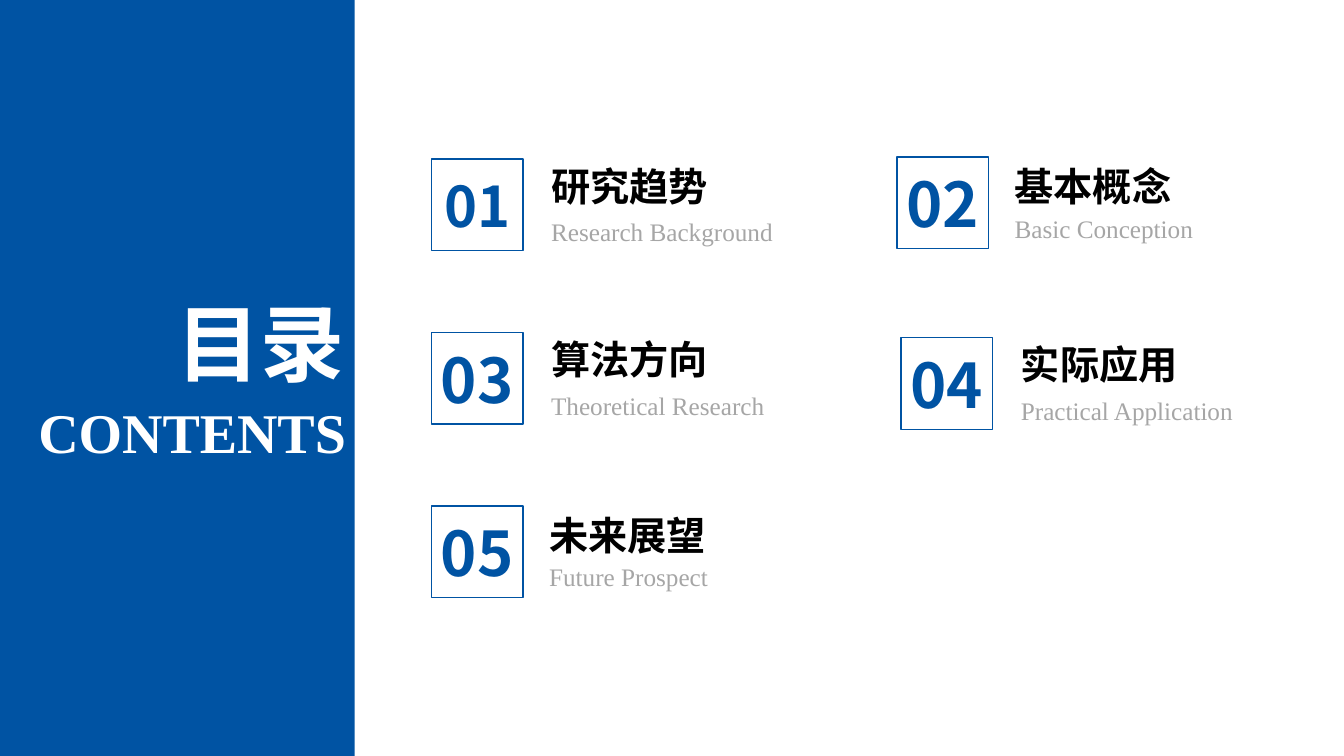
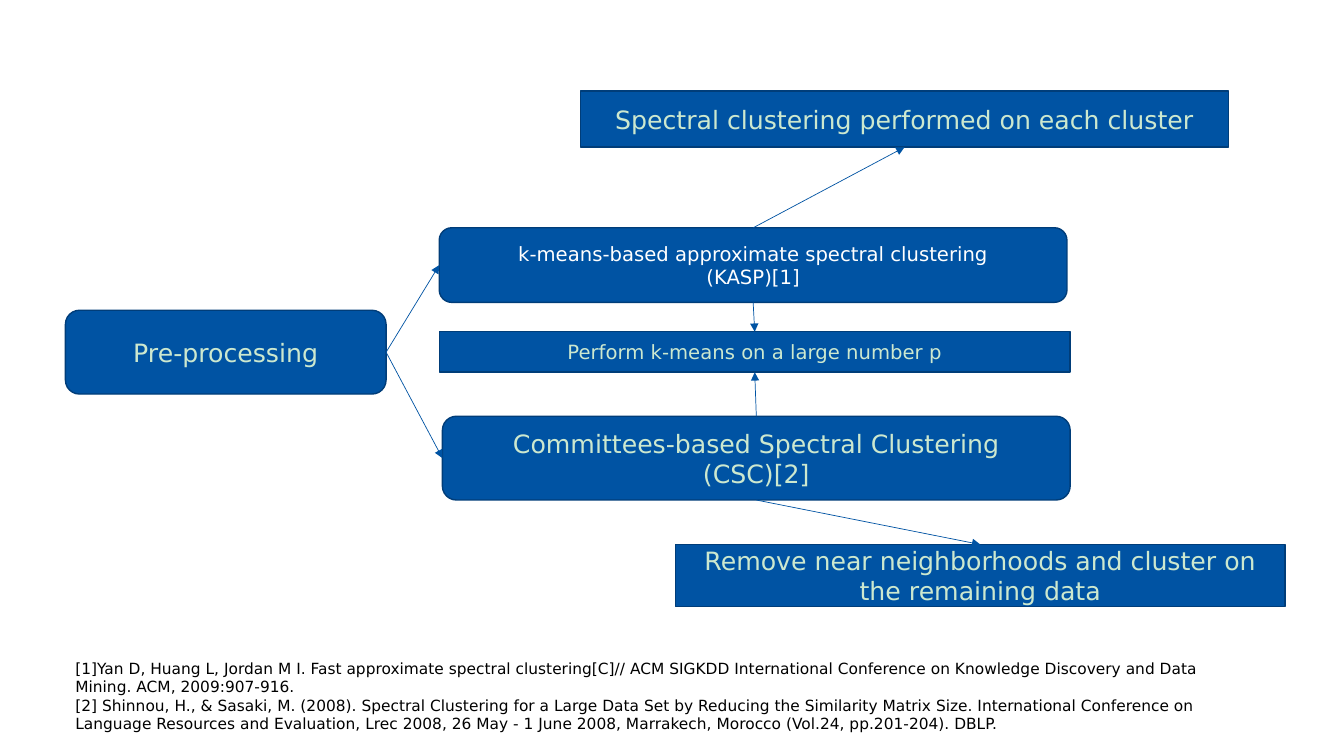
import pptx
import pptx.util
import pptx.dml.color
import pptx.enum.shapes
import pptx.enum.text
import pptx.oxml.ns
from lxml import etree

Cm, Pt = pptx.util.Cm, pptx.util.Pt
RGB = pptx.dml.color.RGBColor.from_string
SHAPE = pptx.enum.shapes.MSO_SHAPE
ALIGN = pptx.enum.text.PP_ALIGN
MIDDLE = pptx.enum.text.MSO_ANCHOR.MIDDLE
TOP = pptx.enum.text.MSO_ANCHOR.TOP
qn = pptx.oxml.ns.qn

# Theme: colours, fonts and type sizes
BLUE, EDGE, MINT = RGB("0053A3"), RGB("003D79"), RGB("CCE8CF")
WHITE, BLACK, GREY = RGB("FFFFFF"), RGB("000000"), RGB("A6A6A6")
HAN, SERIF, SANS = "Noto Sans CJK SC", "Times New Roman", "DejaVu Sans"
THEME = {
    "heading": dict(name=HAN, size=Pt(60), bold=True, color=WHITE),
    "subheading": dict(name=SERIF, size=Pt(40), bold=True, color=WHITE),
    "topic": dict(name=HAN, size=Pt(28), bold=True, color=BLACK),
    "translation": dict(name=SERIF, size=Pt(18), color=GREY),
    "first number": dict(name=HAN, size=Pt(40), bold=True, color=BLUE),
    "number": dict(name=HAN, size=Pt(44), bold=True, color=BLUE),
    "step": dict(name=SANS, size=Pt(18), color=MINT),
    "small step": dict(name=SANS, size=Pt(14), color=MINT),
    "key step": dict(name=SANS, size=Pt(14), color=WHITE),
    "reference": dict(name=SANS, size=Pt(11), color=BLACK),
}


def write(box, text, style, align=ALIGN.LEFT, anchor=TOP):
    frame = box.text_frame
    frame.word_wrap = True
    frame.vertical_anchor = anchor
    for index, line in enumerate(text.split("\n")):
        paragraph = frame.paragraphs[0] if index == 0 else frame.add_paragraph()
        paragraph.alignment = align
        run = paragraph.add_run()
        run.text = line
        for attribute, value in THEME[style].items():
            if attribute == "color":
                run.font.color.rgb = value
            else:
                setattr(run.font, attribute, value)
        east_asian = etree.SubElement(run.font._element, qn("a:ea"))
        east_asian.set("typeface", run.font.name)


def add_block(slide, kind, place, fill=None, edge=None):
    block = slide.shapes.add_shape(kind, *map(Cm, place))
    block.shadow.inherit = False
    for part, color in ((block.fill, fill), (block.line.fill, edge)):
        if color is None:
            part.background()
        else:
            part.solid()
            part.fore_color.rgb = color
    if edge is not None:
        block.line.width = Pt(1)
    return block


deck = pptx.Presentation()
deck.slide_width, deck.slide_height = Cm(33.87), Cm(19.05)
blank = deck.slide_layouts[6]

# Contents slide: side panel
contents = deck.slides.add_slide(blank)
add_block(contents, SHAPE.RECTANGLE, (0, 0, 8.94, 19.05), BLUE)
for text, style, place in (
    ("目录", "heading", (2.49, 7.21, 6.45, 2.82)),
    ("CONTENTS", "subheading", (0, 9.88, 8.97, 1.96)),
):
    write(contents.shapes.add_textbox(*map(Cm, place)), text, style, ALIGN.RIGHT)

# Contents slide: square left and top, text left, topic top, translation top
topics = [
    ("研究趋势", "Research Background", 10.87, 4.01, 13.64, 3.96, 5.33),
    ("基本概念", "Basic Conception", 22.61, 3.96, 25.32, 3.96, 5.26),
    ("算法方向", "Theoretical Research", 10.87, 8.38, 13.64, 8.33, 9.7),
    ("实际应用", "Practical Application", 22.71, 8.51, 25.48, 8.46, 9.83),
    ("未来展望", "Future Prospect", 10.87, 12.75, 13.59, 12.75, 14.02),
]
SIDE = 2.31
for order, (topic, translation, left, top, text_left, topic_top, translation_top) in enumerate(topics, 1):
    square = add_block(contents, SHAPE.RECTANGLE, (left, top, SIDE, SIDE), edge=BLUE)
    for margin in ("margin_left", "margin_right", "margin_top", "margin_bottom"):
        setattr(square.text_frame, margin, 0)
    number_style = "first number" if order == 1 else "number"
    write(square, f"{order:02d}", number_style, ALIGN.CENTER, MIDDLE)
    for text, style, text_top, height in (
        (topic, "topic", topic_top, 1.45),
        (translation, "translation", translation_top, 1.02),
    ):
        label = contents.shapes.add_textbox(Cm(text_left), Cm(text_top), Cm(6.65), Cm(height))
        write(label, text, style)

# Method slide: steps
method = deck.slides.add_slide(blank)
ROUND, RECT = SHAPE.ROUNDED_RECTANGLE, SHAPE.RECTANGLE
steps = {
    "start": (ROUND, "Pre-processing", "step", (1.65, 7.82, 8.08, 2.11)),
    "kasp": (ROUND, "k-means-based approximate spectral clustering\n(KASP)[1]", "key step",
             (11.07, 5.74, 15.82, 1.88)),
    "csc": (ROUND, "Committees-based Spectral Clustering\n(CSC)[2]", "step",
            (11.15, 10.49, 15.82, 2.11)),
    "k-means": (RECT, "Perform k-means on a large number p", "small step",
                (11.07, 8.36, 15.9, 1.02)),
    "each cluster": (RECT, "Spectral clustering performed on each cluster", "step",
                     (14.63, 2.29, 16.33, 1.42)),
    "remaining": (RECT, "Remove near neighborhoods and cluster on the remaining data", "step",
                  (17.02, 13.72, 15.37, 1.57)),
}
blocks = {}
for key, (kind, text, style, place) in steps.items():
    blocks[key] = add_block(method, kind, place, BLUE, EDGE)
    write(blocks[key], text, style, ALIGN.CENTER, MIDDLE)

# Method slide: arrows between connection sites
UPPER, LEFT, LOWER, RIGHT = range(4)
for source, source_site, target, target_site in (
    ("start", RIGHT, "kasp", LEFT),
    ("start", RIGHT, "csc", LEFT),
    ("kasp", LOWER, "k-means", UPPER),
    ("csc", UPPER, "k-means", LOWER),
    ("kasp", UPPER, "each cluster", LOWER),
    ("csc", LOWER, "remaining", UPPER),
):
    arrow = method.shapes.add_connector(pptx.enum.shapes.MSO_CONNECTOR.STRAIGHT, 0, 0, 0, 0)
    arrow.begin_connect(blocks[source], source_site)
    arrow.end_connect(blocks[target], target_site)
    arrow.line.color.rgb = BLUE
    arrow.line.width = Pt(0.5)
    properties = arrow._element.spPr
    etree.SubElement(properties.find(qn("a:ln")), qn("a:tailEnd")).set("type", "triangle")
    etree.SubElement(properties, qn("a:effectLst"))

# Method slide: references
references = method.shapes.add_textbox(Cm(1.65), Cm(16.48), Cm(29.31), Cm(2.4))
write(
    references,
    "[1]Yan D, Huang L, Jordan M I. Fast approximate spectral clustering[C]// ACM SIGKDD "
    "International Conference on Knowledge Discovery and Data Mining. ACM, 2009:907-916.\n"
    "[2] Shinnou, H., & Sasaki, M. (2008). Spectral Clustering for a Large Data Set by Reducing "
    "the Similarity Matrix Size. International Conference on Language Resources and Evaluation, "
    "Lrec 2008, 26 May - 1 June 2008, Marrakech, Morocco (Vol.24, pp.201-204). DBLP.",
    "reference",
)

deck.save("out.pptx")
